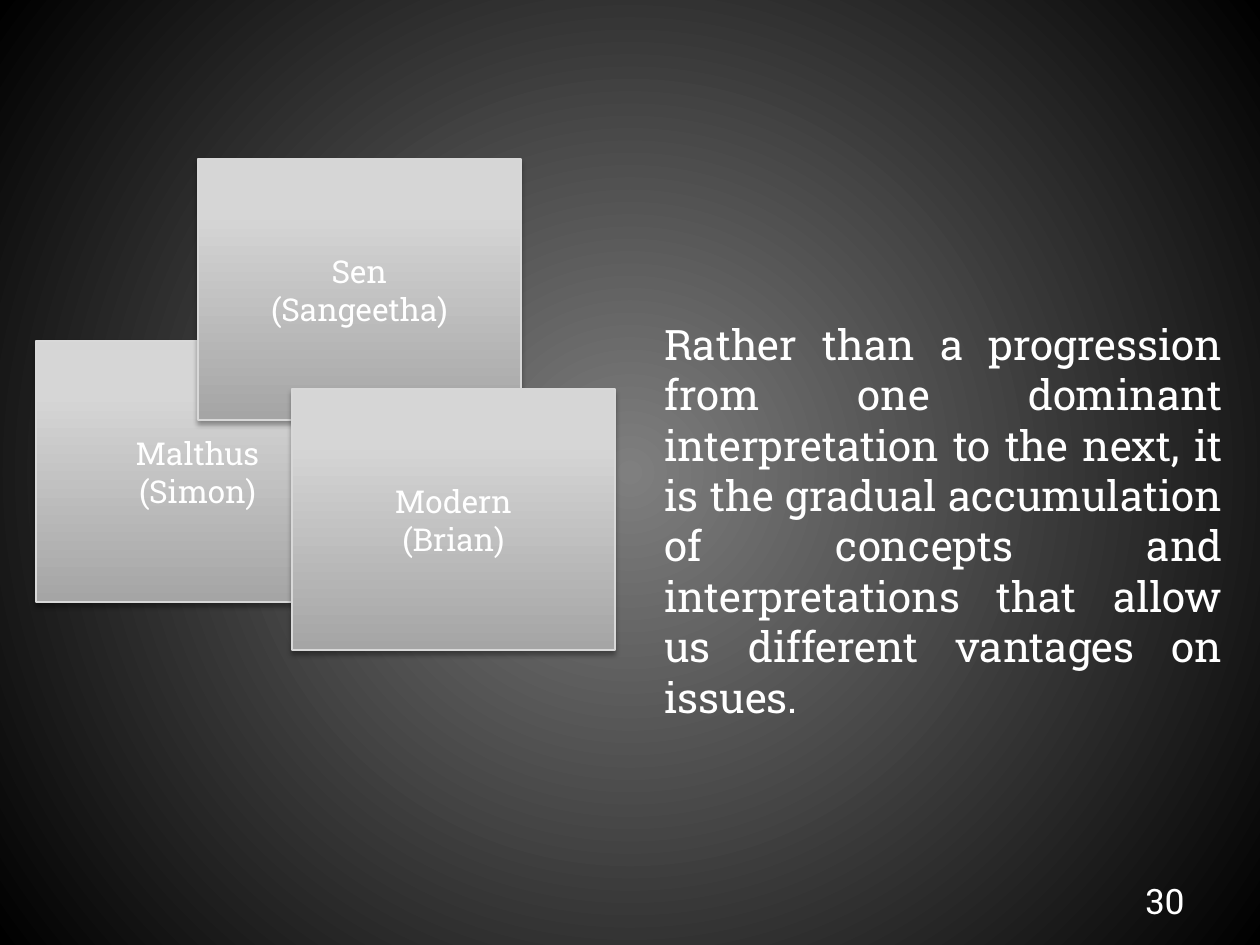
from pptx import Presentation
from pptx.dml.color import RGBColor
from pptx.enum.shapes import MSO_SHAPE
from pptx.enum.text import MSO_ANCHOR as Anchor, MSO_AUTO_SIZE as AutoSize, PP_ALIGN as Align
from pptx.oxml import parse_xml
from pptx.oxml.ns import nsdecls, qn
from pptx.util import Pt

PIXEL = 914400 / 126
FONT = "Roboto Slab"
COLORS = {
    "text": "FFFFFF",
    "border": "D8D8D8",
    "card_bottom": "A5A5A5",
    "card_middle": "D6D6D6",
    "card_top": "D7D7D7",
    "glow": "7F7F7F",
    "edge": "000000",
}


def emu(pixels):
    return round(pixels * PIXEL)


def gradient_xml(stops, direction):
    marks = "".join(
        f'<a:gs pos="{percent * 1000}"><a:srgbClr val="{COLORS[name]}"/></a:gs>'
        for percent, name in stops
    )
    return (f'<a:gradFill {nsdecls("a")} rotWithShape="1">'
            f"<a:gsLst>{marks}</a:gsLst>{direction}</a:gradFill>")


def write_text(shape, text, size=18, align=Align.CENTER, anchor=Anchor.MIDDLE,
               auto_size=AutoSize.NONE):
    frame = shape.text_frame
    frame.text = text
    frame.word_wrap = True
    frame.vertical_anchor = anchor
    frame.auto_size = auto_size
    for paragraph in frame.paragraphs:
        paragraph.alignment = align
        font = paragraph.runs[0].font
        font.name = FONT
        font.size = Pt(size)
        font.color.rgb = RGBColor.from_string(COLORS["text"])


class SlideBuilder:
    def __init__(self, presentation):
        self.slide = presentation.slides.add_slide(presentation.slide_layouts[6])

    def radial_background(self):
        center = ('<a:path path="circle">'
                  '<a:fillToRect l="50000" t="50000" r="50000" b="50000"/></a:path>')
        fill = gradient_xml([(0, "glow"), (100, "edge")], center)
        background = parse_xml(
            f'<p:bg {nsdecls("p", "a")}><p:bgPr>{fill}<a:effectLst/></p:bgPr></p:bg>')
        self.slide.element.cSld.insert(0, background)

    def card(self, left, top, width, height, text):
        shape = self.slide.shapes.add_shape(
            MSO_SHAPE.RECTANGLE, *map(emu, (left, top, width, height)))
        shape.line.color.rgb = RGBColor.from_string(COLORS["border"])
        shape.line.width = Pt(0.75)
        properties = shape.element.spPr

        # Vertical gradient, dark at the bottom
        stops = [(0, "card_bottom"), (80, "card_middle"), (100, "card_top")]
        fill = gradient_xml(stops, '<a:lin ang="16200000" scaled="0"/>')
        properties.find(qn("a:prstGeom")).addnext(parse_xml(fill))

        # Soft shadow below
        shape.shadow.inherit = False
        properties.find(qn("a:effectLst")).append(parse_xml(
            f'<a:outerShdw {nsdecls("a")} blurRad="{Pt(3.1)}" dist="{Pt(1.8)}" '
            f'dir="5400000" rotWithShape="0"><a:srgbClr val="{COLORS["edge"]}">'
            '<a:alpha val="35000"/></a:srgbClr></a:outerShdw>'))
        write_text(shape, text)

    def text_box(self, left, top, width, height, text, **text_format):
        box = self.slide.shapes.add_textbox(*map(emu, (left, top, width, height)))
        write_text(box, text, **text_format)


presentation = Presentation()
presentation.slide_width = emu(1260)
presentation.slide_height = emu(945)
builder = SlideBuilder(presentation)
builder.radial_background()

# Overlapping cards, from back to front
CARD_SIZE = (323, 261)
for left, top, text in [
    (36, 341, "Malthus\n(Simon)"),
    (198, 159, "Sen\n(Sangeetha)"),
    (292, 389, "Modern\n(Brian)"),
]:
    builder.card(left, top, *CARD_SIZE, text)

# Statement
builder.text_box(
    652, 312, 583, 369,
    "Rather than a progression from one dominant interpretation to the next, "
    "it is the gradual accumulation of concepts and interpretations that allow "
    "us different vantages on issues.",
    size=24, align=Align.JUSTIFY, anchor=Anchor.TOP, auto_size=AutoSize.SHAPE_TO_FIT_TEXT)

# Page number
builder.text_box(903, 876, 294, 50, "30", size=20, align=Align.RIGHT)

presentation.save("out.pptx")
